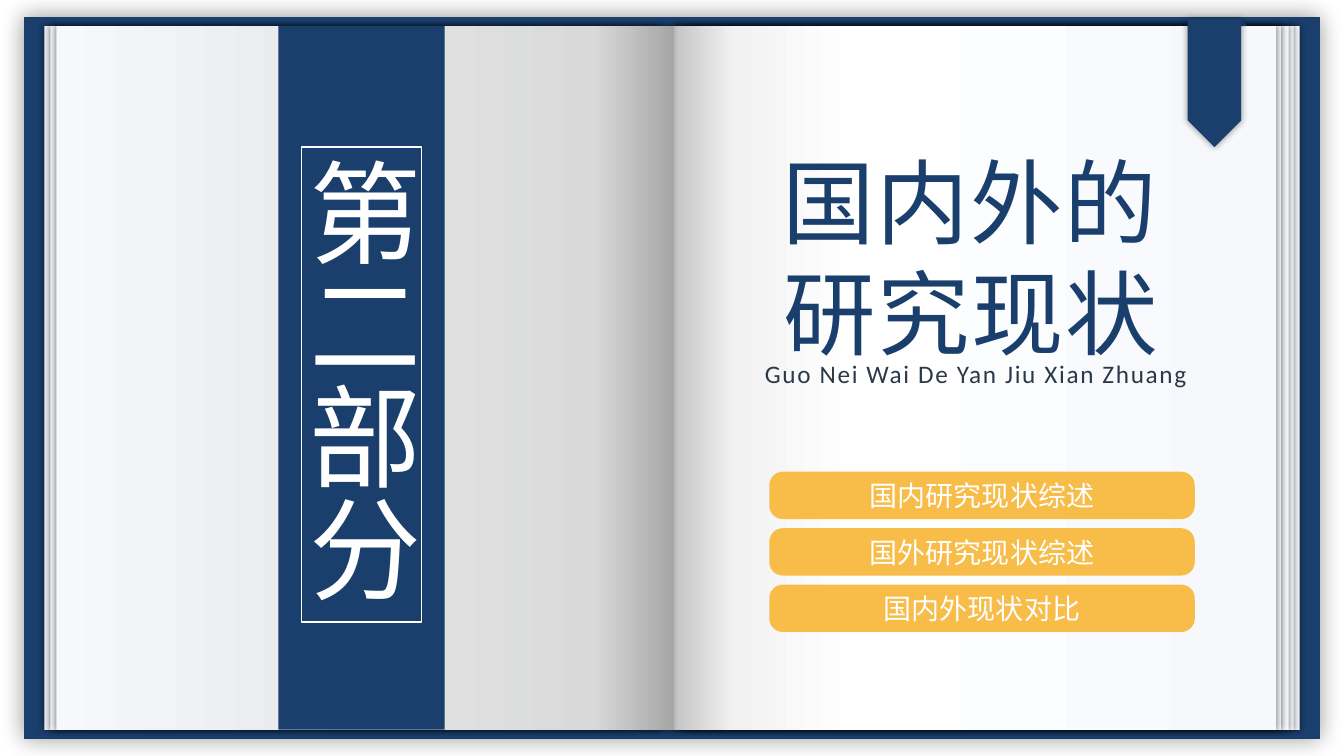
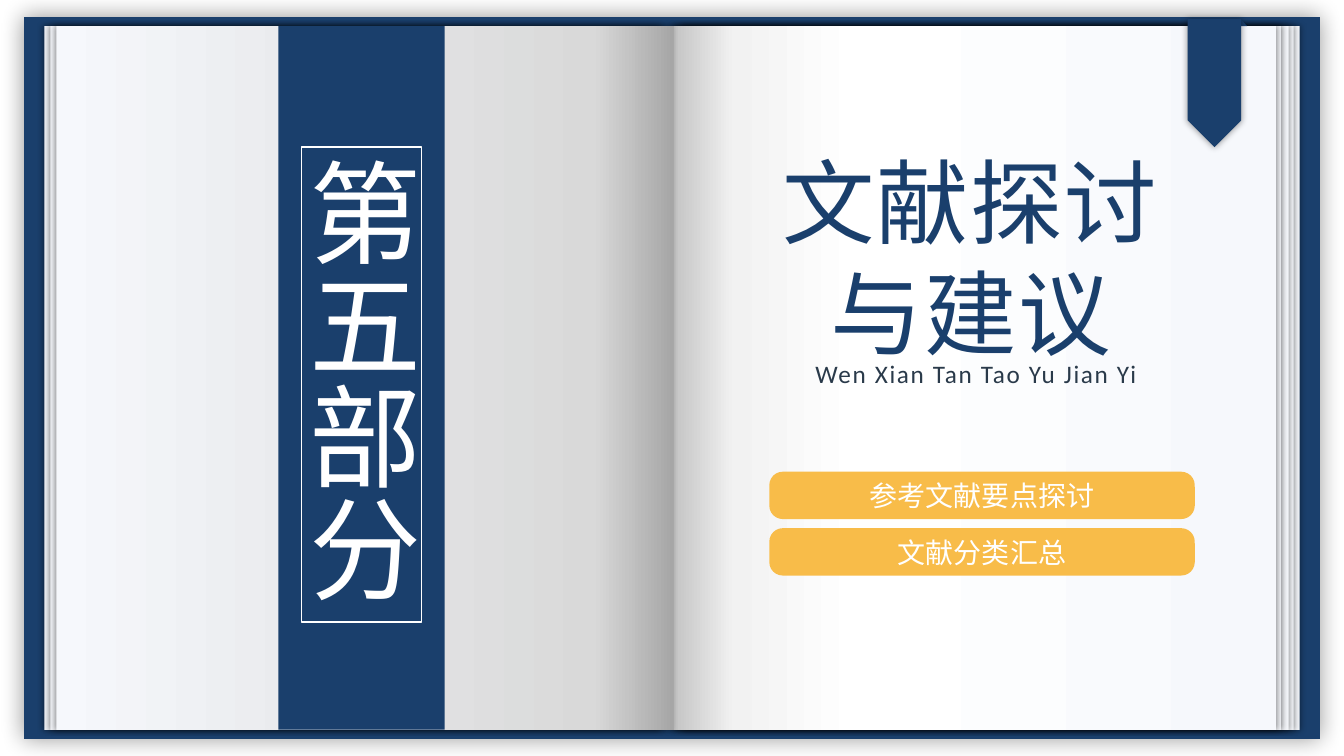
from lxml.etree import SubElement
from pptx import Presentation
from pptx.dml.color import RGBColor
from pptx.enum.shapes import MSO_SHAPE as SHAPE
from pptx.enum.text import MSO_ANCHOR as ANCHOR, PP_ALIGN as ALIGN
from pptx.oxml.ns import qn
from pptx.util import Inches, Pt

rgb = RGBColor.from_string

# Shared look
NAVY, AMBER, INK, WHITE = "1A3F6C", "F8BC49", "2A3A4A", "FFFFFF"
CJK, LATIN = "Noto Sans CJK SC", "Calibri"
EDGE = [(0, "F6F8FC"), (87, "D9D9D9"), (100, "A6A6A6")]
SHEET = [(0, "F6F8FC"), (62, "FFFFFF"), (89, "F2F2F2"), (100, "D9D9D9")]
TOP_SHEET = [(0, "F6F8FC"), (69, "FFFFFF"), (89, "F2F2F2"), (100, "BFBFBF")]
PAGE_TOP, PAGE_H = 0.26, 6.98

# Pages from back to front: left, width, gradient, on the left side
PAGES = [
    (6.77, 6.12, EDGE, False),
    (6.71, 6.12, EDGE, False),
    (6.66, 6.12, SHEET, False),
    (6.67, 6.04, TOP_SHEET, False),
    (0.44, 6.12, EDGE, True),
    (0.5, 6.12, EDGE, True),
    (6.62, 6.04, TOP_SHEET, False),
    (0.56, 6.12, EDGE, True),
]

# Part, title, pinyin, topics
SECTIONS = [
    ("第二部分", "国内外的研究现状", "Guo Nei Wai De Yan Jiu Xian Zhuang",
     ["国内研究现状综述", "国外研究现状综述", "国内外现状对比"]),
    ("第五部分", "文献探讨与建议", "Wen Xian Tan Tao Yu Jian Yi",
     ["参考文献要点探讨", "文献分类汇总"]),
]


def add_box(s, kind, at, fill=None, shadow=None):
    """fill is a colour or gradient stops; shadow is blur, distance, direction."""
    sp = s.shapes.add_shape(kind, *map(Inches, at))
    sp.line.fill.background()
    if fill is None:
        sp.fill.background()
    elif isinstance(fill, str):
        sp.fill.solid()
        sp.fill.fore_color.rgb = rgb(fill)
    else:
        sp.fill.gradient()
        sp.fill.gradient_angle = 0
        stops = sp._element.spPr.find(".//" + qn("a:gsLst"))
        stops.clear()
        for pos, color in fill:
            gs = SubElement(stops, qn("a:gs"), pos=str(pos * 1000))
            SubElement(gs, qn("a:srgbClr"), val=color)
    sp.shadow.inherit = False
    if shadow:
        blur, dist, angle = shadow
        outer = SubElement(sp._element.spPr.find(qn("a:effectLst")), qn("a:outerShdw"),
                           blurRad=str(Pt(blur)), dist=str(Pt(dist)),
                           dir=str(angle * 60000), algn="ctr")
        color = SubElement(outer, qn("a:srgbClr"), val="000000")
        SubElement(color, qn("a:alpha"), val="40000")
    return sp


def set_text(sp, text, size, color, font=CJK, spacing=0, anchor=ANCHOR.TOP):
    tf = sp.text_frame
    tf.word_wrap = True
    tf.vertical_anchor = anchor
    p = tf.paragraphs[0]
    p.text = text
    p.alignment = ALIGN.CENTER
    p.font.size = Pt(size)
    p.font.name = font
    p.font.color.rgb = rgb(color)
    if spacing:
        p.runs[0].font._element.set("spc", str(round(spacing * 100)))


prs = Presentation()
prs.slide_width, prs.slide_height = Inches(13.33), Inches(7.5)

for part, title, pinyin, topics in SECTIONS:
    s = prs.slides.add_slide(prs.slide_layouts[6])

    # Book cover and pages
    add_box(s, SHAPE.RECTANGLE, (0.24, 0.17, 12.85, 7.16), NAVY, (16, 0, 0))
    for left, width, stops, on_left in PAGES:
        sp = add_box(s, SHAPE.RECTANGLE, (left, PAGE_TOP, width, PAGE_H), stops,
                     (4, 1, 180 if on_left else 0))
        sp.rotation = 180
        if on_left:
            sp._element.spPr.find(qn("a:xfrm")).set("flipH", "1")

    # Title and pinyin
    tb = s.shapes.add_textbox(*map(Inches, (7.41, 1.39, 4.44, 2.32)))
    set_text(tb, title, 66, NAVY, spacing=1.2)
    tb = s.shapes.add_textbox(*map(Inches, (6.67, 3.51, 6.02, 0.4)))
    set_text(tb, pinyin, 18, INK, LATIN, spacing=1.2)

    # Bookmark
    add_box(s, SHAPE.RIGHT_TRIANGLE, (12.31, 0.19, 0.06, 0.07), NAVY)
    add_box(s, SHAPE.PENTAGON, (11.41, 0.56, 1.27, 0.53), NAVY, (5, 0, 0)).rotation = 90

    # Part band with vertical text
    add_box(s, SHAPE.RECTANGLE, (2.76, PAGE_TOP, 1.65, PAGE_H), NAVY)
    sp = add_box(s, SHAPE.RECTANGLE, (2.99, 1.46, 1.19, 4.71))
    sp.line.color.rgb = rgb(WHITE)
    sp.line.width = Pt(1)
    set_text(sp, part, 80, WHITE, anchor=ANCHOR.MIDDLE)
    sp.text_frame._txBody.bodyPr.set("vert", "eaVert")

    # Topic pills
    for i, topic in enumerate(topics):
        sp = add_box(s, SHAPE.ROUNDED_RECTANGLE, (7.63, 4.68 + 0.56 * i, 4.22, 0.47), AMBER)
        sp.adjustments[0] = 0.285
        set_text(sp, topic, 20, WHITE, anchor=ANCHOR.MIDDLE)

prs.save("out.pptx")
